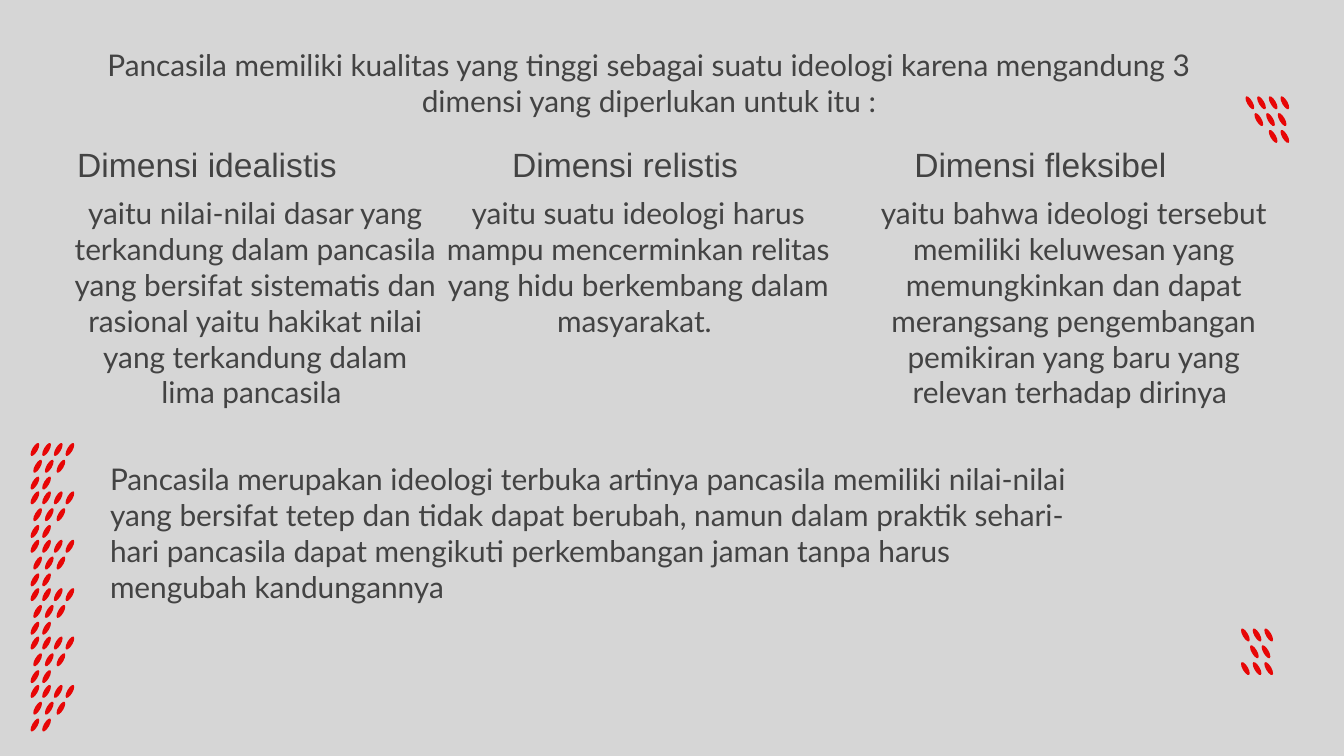
from pptx import Presentation
from pptx.dml.color import RGBColor
from pptx.enum.shapes import MSO_SHAPE
from pptx.enum.text import MSO_ANCHOR, PP_ALIGN
from pptx.util import Inches, Pt

WIDTH = 10
HEIGHT = WIDTH * 9 / 16
COLORS = {"background": "D6D6D6", "text": "434343", "dot": "E70606"}

INTRO = ("Pancasila memiliki kualitas yang tinggi sebagai suatu ideologi karena "
         "mengandung 3 dimensi yang diperlukan untuk itu :")
CLOSING = ("Pancasila merupakan ideologi terbuka artinya pancasila memiliki nilai-nilai "
           "yang bersifat tetep dan tidak dapat berubah, namun dalam praktik sehari-hari "
           "pancasila dapat mengikuti perkembangan jaman tanpa harus mengubah kandungannya")

# Each dimension: heading, its left and width, description, its left, width and height
DIMENSIONS = [
    ("Dimensi idealistis", 0.16, 2.76,
     "yaitu nilai-nilai dasar yang terkandung dalam pancasila yang bersifat sistematis "
     "dan rasional yaitu hakikat nilai yang terkandung dalam lima pancasila ",
     0.45, 2.9, 1.98),
    ("Dimensi relistis ", 3.49, 2.39,
     "yaitu suatu ideologi harus mampu mencerminkan relitas yang hidu berkembang dalam "
     "masyarakat. ",
     3.22, 3.06, 1.59),
    ("Dimensi fleksibel ", 6.58, 2.39,
     "yaitu bahwa ideologi tersebut memiliki keluwesan yang memungkinkan dan dapat "
     "merangsang pengembangan pemikiran yang baru yang relevan terhadap dirinya ",
     6.28, 3.42, 2.88),
]
HEADING_TOP, HEADING_HEIGHT, DESCRIPTION_TOP = 0.97, 0.65, 1.35

# Each cluster: left of its outer dot, top, direction of growth, dots per row
CLUSTER_PITCH = 0.36
CLUSTERS = [(0.24, 3.29 + CLUSTER_PITCH * index, 1, (4, 3, 2)) for index in range(6)]
CLUSTERS += [(9.42, 4.67, -1, (3, 2, 3)), (9.54, 0.71, -1, (4, 3, 2))]
DOT_WIDTH, DOT_HEIGHT, DOT_TILT = 0.04, 0.11, 30
COLUMN_PITCH = 0.26 / 3
ROW_PITCH, ROW_SHIFT = 0.25 / 2, 0.02


def color(name):
    return RGBColor.from_string(COLORS[name])


def add_cluster(slide, left, top, direction, rows):
    """Draw rows of slanted dots; every second row is shifted inwards."""
    for row, count in enumerate(rows):
        for column in range(count):
            offset = column * COLUMN_PITCH + row % 2 * ROW_SHIFT
            dot = slide.shapes.add_shape(
                MSO_SHAPE.OVAL, Inches(left + direction * offset),
                Inches(top + row * ROW_PITCH), Inches(DOT_WIDTH), Inches(DOT_HEIGHT))
            dot.rotation = direction * DOT_TILT
            dot.fill.solid()
            dot.fill.fore_color.rgb = color("dot")
            dot.line.fill.background()
            dot.shadow.inherit = False


def add_text(slide, text, left, top, width, height, font="Lato", size=16,
             align=PP_ALIGN.CENTER, space_after=0):
    box = slide.shapes.add_textbox(Inches(left), Inches(top), Inches(width), Inches(height))
    frame = box.text_frame
    frame.word_wrap = True
    frame.vertical_anchor = MSO_ANCHOR.TOP
    frame.margin_left = frame.margin_right = Inches(0.1)
    frame.margin_top = frame.margin_bottom = Inches(0.1)
    frame.text = text
    para = frame.paragraphs[0]
    para.alignment = align
    para.space_after = Pt(space_after)
    span = para.runs[0]
    span.font.name = font
    span.font.size = Pt(size)
    span.font.color.rgb = color("text")


def main():
    deck = Presentation()
    deck.slide_width, deck.slide_height = Inches(WIDTH), Inches(HEIGHT)
    slide = deck.slides.add_slide(deck.slide_layouts[6])
    slide.background.fill.solid()
    slide.background.fill.fore_color.rgb = color("background")

    for cluster in CLUSTERS:
        add_cluster(slide, *cluster)
    for heading, left, width, description, body_left, body_width, body_height in DIMENSIONS:
        add_text(slide, heading, left, HEADING_TOP, width, HEADING_HEIGHT,
                 font="Arial", size=18, space_after=12)
        add_text(slide, description, body_left, DESCRIPTION_TOP, body_width, body_height)
    add_text(slide, INTRO, 0.34, 0.25, 8.98, 0.67)
    add_text(slide, CLOSING, 0.72, 3.33, 7.42, 1.44, align=PP_ALIGN.LEFT)

    deck.save("out.pptx")


if __name__ == "__main__":
    main()
